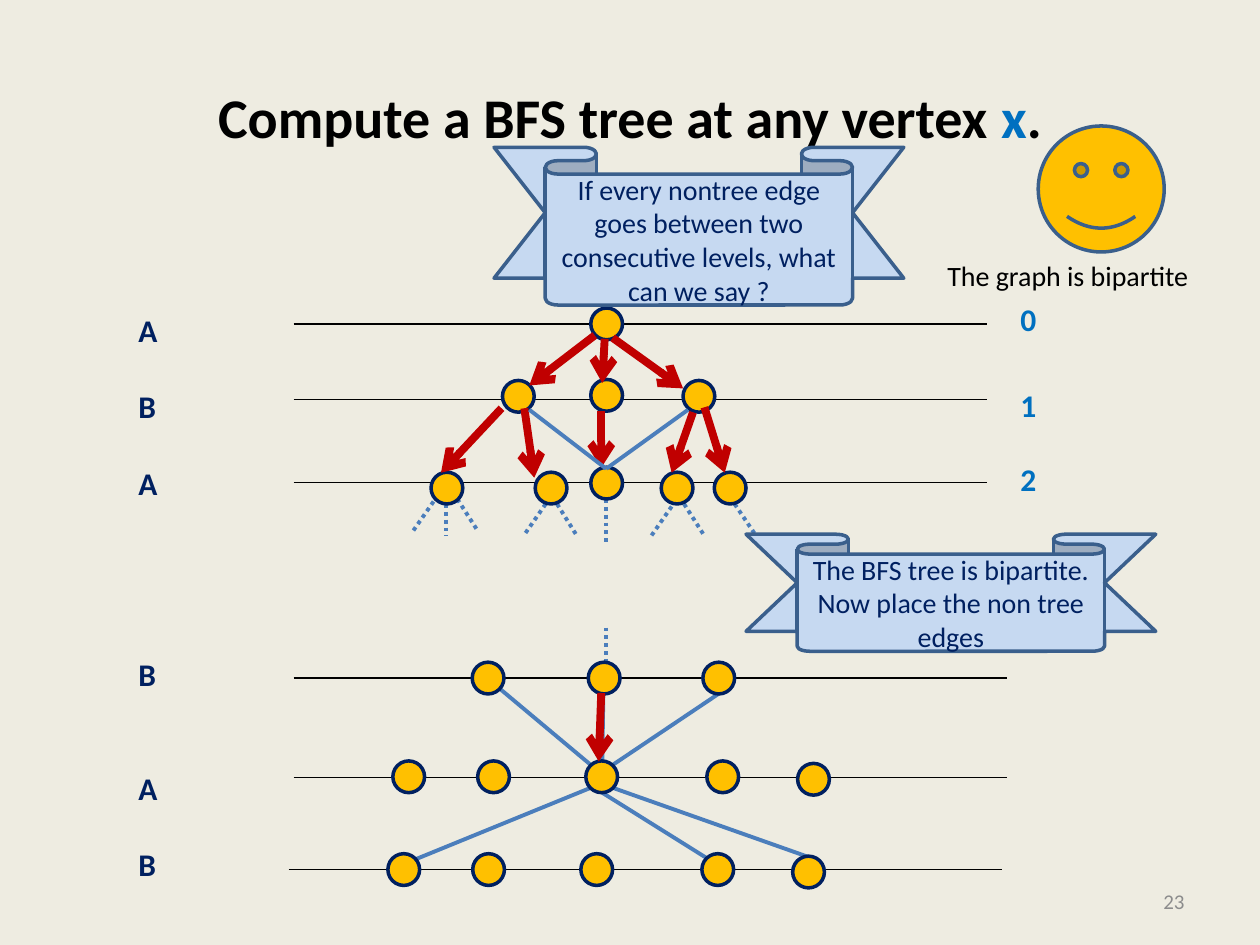
from lxml.etree import SubElement
from pptx import Presentation
from pptx.dml.color import RGBColor
from pptx.enum.dml import MSO_LINE
from pptx.enum.shapes import MSO_CONNECTOR, MSO_SHAPE
from pptx.enum.text import MSO_ANCHOR, PP_ALIGN
from pptx.oxml.ns import qn
from pptx.util import Cm, Pt

COLORS = {
    "background": "EEECE1", "black": "000000", "navy": "002060",
    "blue": "0070C0", "edge": "4B7EBC", "tree": "C00000",
    "gold": "FFC000", "ribbon": "C6D9F1", "outline": "3A5F8C", "grey": "8C8C8C",
}
NODE = 0.64  # vertex diameter in cm


def color(name):
    return RGBColor.from_string(COLORS[name])


def style_span(span, size, tint, bold=False):
    span.font.name = "Calibri"
    span.font.size = Pt(size)
    span.font.bold = bold
    span.font.color.rgb = color(tint)


def add_text(page, box, lines, size, tint, bold=False, align=PP_ALIGN.LEFT):
    frame = page.shapes.add_textbox(*map(Cm, box)).text_frame
    frame.word_wrap = False
    frame.text = "\n".join(lines)
    for para in frame.paragraphs:
        para.alignment = align
        style_span(para.runs[0], size, tint, bold)
    return frame


def add_preset(page, kind, box, fill, line):
    shape = page.shapes.add_shape(kind, *map(Cm, box))
    shape.shadow.inherit = False
    shape.fill.solid()
    shape.fill.fore_color.rgb = color(fill)
    shape.line.color.rgb = color(line)
    shape.line.width = Pt(2)
    return shape


def add_line(page, ends, tint, width, dotted=False, arrow=False):
    line = page.shapes.add_connector(MSO_CONNECTOR.STRAIGHT, *map(Cm, ends))
    line.line.color.rgb = color(tint)
    line.line.width = Pt(width)
    if dotted:
        line.line.dash_style = MSO_LINE.ROUND_DOT
    properties = line._element.spPr
    if arrow:
        SubElement(properties.find(qn("a:ln")), qn("a:tailEnd"), type="arrow")
    SubElement(properties, qn("a:effectLst"))


def add_edges(page, left, top, edges, **style):
    for x1, y1, x2, y2 in edges:
        add_line(page, (left + x1, top + y1, left + x2, top + y2), **style)


def add_nodes(page, left, top, centers):
    for x, y in centers:
        box = (left + x - NODE / 2, top + y - NODE / 2, NODE, NODE)
        add_preset(page, MSO_SHAPE.OVAL, box, "gold", "navy")


LEVEL = dict(tint="black", width=0.75)
PLAIN = dict(tint="edge", width=2.25)
DOTTED = dict(PLAIN, dotted=True)
TREE = dict(tint="tree", width=4.5, arrow=True)


def add_title(page, box):
    title = page.shapes.title
    title.left, title.top, title.width, title.height = map(Cm, box)
    title.text_frame.vertical_anchor = MSO_ANCHOR.MIDDLE
    para = title.text_frame.paragraphs[0]
    para.alignment = PP_ALIGN.CENTER
    for text, tint in (("Compute a BFS tree at any vertex ", "black"),
                       ("x", "blue"), (".", "black")):
        span = para.add_run()
        span.text = text
        style_span(span, 32, tint, True)


def add_upper_levels(page, left, top, width):
    # Level lines with their depth numbers
    for depth, (y, label_y) in enumerate(((0, -0.61), (1.52, 1.12), (3.2, 2.62))):
        add_line(page, (left, top + y, left + width, top + y), **LEVEL)
        add_text(page, (left + width + 0.43, top + label_y, 0.84, 1.02),
                 [str(depth)], 18, "blue", True)
    # Edges leaving for deeper levels
    add_edges(page, left, top, [
        (6.3, 3.53, 6.3, 4.47), (2.82, 3.58, 2.41, 4.17), (3.3, 3.53, 3.71, 4.17),
        (3.07, 3.63, 3.07, 4.27), (5.08, 3.63, 4.67, 4.22), (5.31, 3.63, 5.69, 4.24),
        (7.62, 3.68, 7.21, 4.27), (7.87, 3.63, 8.26, 4.24), (8.89, 3.63, 9.3, 4.24),
    ], **DOTTED)
    add_nodes(page, left, top, [
        (6.31, 0), (4.53, 1.46), (6.31, 1.44), (8.17, 1.46), (3.09, 3.31),
        (5.19, 3.31), (6.31, 3.21), (7.73, 3.31), (8.8, 3.31),
    ])
    add_edges(page, left, top, [
        (6.27, 0.3, 6.22, 1.19), (6.43, 0.28, 7.85, 1.3), (6.07, 0.23, 4.75, 1.24),
        (4.65, 1.7, 4.85, 3.1), (4.19, 1.7, 2.97, 3), (6.2, 1.75, 6.2, 2.9),
        (8.05, 1.78, 7.62, 3), (8.28, 1.68, 8.69, 3),
    ], **TREE)
    # Non-tree edges
    add_edges(page, left, top,
              [(4.75, 1.73, 6.3, 2.92), (7.95, 1.73, 6.3, 2.92)], **PLAIN)


def add_lower_levels(page, left, top, width):
    for x, y in ((0, 0), (0, 2.01), (-0.1, 3.86)):
        add_line(page, (left + x, top + y, left + x + width, top + y), **LEVEL)
    # Non-tree edges
    add_edges(page, left, top, [
        (6.22, 1.78, 6.25, -0.2), (4.14, 0.2, 5.99, 1.75), (6.43, 1.75, 8.59, 0.3),
        (6.22, 2.31, 8.33, 3.63), (6.43, 2.21, 10.39, 3.61), (5.99, 2.21, 2.44, 3.66),
    ], **PLAIN)
    add_edges(page, left, top, [(6.3, -1.02, 6.3, -0.33)], **DOTTED)
    # The two bottom rows share one arrangement
    row = [(2.32, 0), (4.03, 0), (6.21, 0), (8.65, 0), (10.48, 0.05)]
    add_nodes(page, left, top, [(3.92, 0), (6.26, 0), (8.57, 0)])
    add_nodes(page, left, top + 1.99, row)
    add_nodes(page, left - 0.1, top + 3.86, row)
    add_edges(page, left, top, [(6.2, 0.3, 6.15, 1.68)], **TREE)


def add_side_labels(page, box):
    # Each label with the number of line heights since the one before
    labels = (("A", 1), ("B", 2), ("A", 2), ("B", 5), ("A", 3), ("B", 2))
    frame = add_text(page, box, [name for name, _ in labels], 18, "navy", True)
    for para, (_, steps) in zip(frame.paragraphs, labels):
        para.space_before = Pt(21.9 * (steps - 1))


def add_ribbon(page, box, text):
    ribbon = add_preset(page, MSO_SHAPE.DOWN_RIBBON, box, "ribbon", "outline")
    ribbon.adjustments[0] = 0.17
    ribbon.adjustments[1] = 0.75
    frame = ribbon.text_frame
    frame.word_wrap = True
    frame.vertical_anchor = MSO_ANCHOR.MIDDLE
    frame.text = text
    frame.paragraphs[0].alignment = PP_ALIGN.CENTER
    style_span(frame.paragraphs[0].runs[0], 16, "navy")


def add_conclusion(page, left, top):
    add_preset(page, MSO_SHAPE.SMILEY_FACE, (left + 2.08, top, 2.54, 2.54),
               "gold", "outline")
    add_text(page, (left, top + 2.54, 5.44, 0.94),
             ["The graph is bipartite"], 16, "black")


def add_page_number(page, box):
    frame = add_text(page, box, ["23"], 12, "grey", align=PP_ALIGN.RIGHT)
    frame.word_wrap = True
    frame.vertical_anchor = MSO_ANCHOR.MIDDLE


def main():
    deck = Presentation()
    deck.slide_width, deck.slide_height = Cm(25.4), Cm(19.05)
    page = deck.slides.add_slide(deck.slide_layouts[5])
    page.background.fill.solid()
    page.background.fill.fore_color.rgb = color("background")

    add_title(page, (1.27, 0.76, 22.86, 3.18))
    add_upper_levels(page, 5.92, 6.53, 13.97)
    add_lower_levels(page, 5.92, 13.67, 14.38)
    add_side_labels(page, (2.54, 6.15, 0.89, 11.79))
    add_ribbon(page, (15.04, 10.77, 8.26, 2.36),
               "The BFS tree is bipartite. Now place the non tree edges")
    add_ribbon(page, (9.96, 2.97, 8.26, 3.18),
               "If every nontree edge goes between two consecutive levels, "
               "what can we say ?")
    add_conclusion(page, 18.85, 2.54)
    add_page_number(page, (18.21, 17.65, 5.92, 1.02))
    deck.save("out.pptx")


if __name__ == "__main__":
    main()
